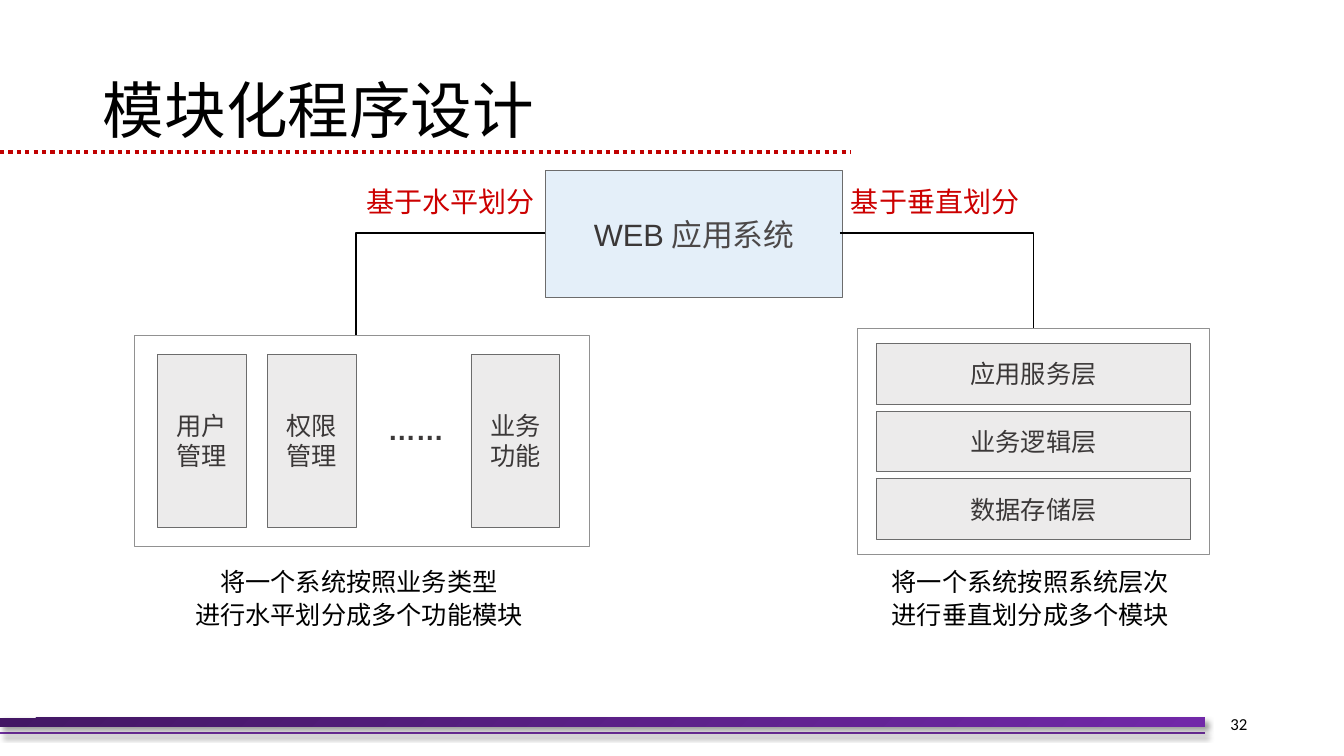
from lxml import etree
from pptx import Presentation
from pptx import util as u
from pptx.dml.color import RGBColor
from pptx.enum import dml, shapes, text
from pptx.oxml import parse_xml
from pptx.oxml.ns import nsdecls, qn

CJK = "Noto Sans CJK SC"
INK = "3B3838"
BLACK = "000000"
CENTER = text.PP_ALIGN.CENTER


def color(value):
    return RGBColor.from_string(value)


def style_span(span, size, ink, latin=CJK, east=CJK, bold=False):
    font = span.font
    font.size, font.name, font.bold = u.Pt(size), latin, bold
    font.color.rgb = color(ink)
    etree.SubElement(font._element, qn("a:ea")).set("typeface", east)


def write(shape, words, size, ink=INK, font=CJK, align=CENTER,
          anchor=text.MSO_ANCHOR.MIDDLE, spacing=None, inset=0):
    """Fill a shape with one paragraph and return it."""
    frame = shape.text_frame
    frame.word_wrap = True
    frame.vertical_anchor = anchor
    frame.margin_left = frame.margin_right = u.Inches(inset)
    frame.margin_top = frame.margin_bottom = 0
    para = frame.paragraphs[0]
    para.text = words
    para.alignment = align
    para.line_spacing = spacing
    for span in para.runs:
        style_span(span, size, ink, font, font)
    return para


def add_text(page, box, words, size, **options):
    shape = page.shapes.add_textbox(*map(u.Inches, box))
    return write(shape, words, size, **options)


def set_line(shape, ink, width):
    shape.line.color.rgb = color(ink)
    shape.line.width = u.Pt(width)


def add_box(page, box, fill=None, line="6C6C6C"):
    shape = page.shapes.add_shape(shapes.MSO_SHAPE.RECTANGLE, *map(u.Inches, box))
    shape.shadow.inherit = False
    if fill:
        shape.fill.solid()
        shape.fill.fore_color.rgb = color(fill)
    else:
        shape.fill.background()
    set_line(shape, line, 0.5)
    return shape


def add_rule(page, right, y, ink, width):
    """Draw a horizontal rule from the left edge of the slide."""
    rule = page.shapes.add_connector(
        shapes.MSO_CONNECTOR.STRAIGHT, 0, u.Inches(y), u.Inches(right), u.Inches(y))
    set_line(rule, ink, width)
    etree.SubElement(rule._element.spPr, qn("a:effectLst"))
    return rule


def cast_shadow(shape):
    properties = shape._element.spPr
    effects = properties.find(qn("a:effectLst"))
    effects.append(parse_xml(
        f'<a:outerShdw {nsdecls("a")} blurRad="50800" dist="38100" dir="2700000" '
        'algn="tl" rotWithShape="0"><a:srgbClr val="000000">'
        '<a:alpha val="40000"/></a:srgbClr></a:outerShdw>'))


def add_footer(page, box):
    left, top, width, height = box
    cast_shadow(add_rule(page, left + width, top + 0.15, "7030A0", 1.5))
    bar = add_box(page, box)
    bar.fill.gradient()
    bar.fill.gradient_angle = 315
    for stop, ink in zip(bar.fill.gradient_stops, ("431764", "7128A8")):
        stop.color.rgb = color(ink)
    bar.line.fill.background()
    cast_shadow(bar)
    add_text(page, (left + width - 0.57, top - 0.14, 1.09, 0.4), "32", 12,
             ink=BLACK, font="Calibri", align=text.PP_ALIGN.RIGHT, inset=0.1)


def add_title(page, box):
    title = page.shapes.title
    title.left, title.top, title.width, title.height = map(u.Inches, box)
    write(title, "模块化程序设计", 44, ink=BLACK, align=text.PP_ALIGN.LEFT,
          spacing=0.9, inset=0.1)
    rule = add_rule(page, 8.44, box[1] + 1.11, "C00000", 3)
    rule.line.dash_style = dml.MSO_LINE.ROUND_DOT


def add_system(page, box):
    shape = add_box(page, box, "E4EFF9")
    para = write(shape, "WEB", 22, font="Arial")
    span = para.add_run()
    span.text = "应用系统"
    style_span(span, 22, "4C4848")


def add_branch(page, start, end, label_left, label):
    """Draw an elbow from start across and down to end, with a label above it."""
    corner = (end[0], start[1])
    builder = page.shapes.build_freeform(*map(u.Inches, start), scale=1.0)
    builder.add_line_segments(
        [tuple(map(u.Inches, point)) for point in (corner, end)], close=False)
    elbow = builder.convert_to_shape()
    elbow.shadow.inherit = False
    elbow.fill.background()
    set_line(elbow, BLACK, 1.02)
    add_text(page, (label_left, start[1] - 0.49, 1.69, 0.36), label, 20, ink="CC0000")


def add_caption(page, box, words):
    add_text(page, box, words, 18, ink=BLACK, spacing=1.07,
             anchor=text.MSO_ANCHOR.TOP)


def add_modules(page, box):
    left, top, width, height = box
    add_box(page, box, line="919191")
    modules = ((0.23, "用户\v管理"), (1.32, "权限\v管理"), (3.34, "业务\v功能"))
    for offset, name in modules:
        module = add_box(page, (left + offset, top + 0.19, 0.88, height - 0.38), "ECEBEB")
        write(module, name, 18, spacing=u.Pt(21))
    add_text(page, (left + 2.51, top + 0.75, 0.57, 0.36), "……", 20,
             font="Arial").runs[0].font.bold = True
    add_caption(page, (left + 0.59, 5.6, 3.28, 0.67),
                "将一个系统按照业务类型\v进行水平划分成多个功能模块")


def add_layers(page, box):
    left, top, width, height = box
    add_box(page, box, line="919191")
    layers = ("应用服务层", "业务逻辑层", "数据存储层")
    margin, layer_height = 0.15, 0.6
    pitch = (height - 2 * margin - layer_height) / (len(layers) - 1)
    for row, name in enumerate(layers):
        layer = add_box(page, (left + 0.19, top + margin + row * pitch,
                               width - 0.38, layer_height), "ECEBEB")
        write(layer, name, 18)
    add_caption(page, (left + 0.33, 5.6, 2.78, 0.67),
                "将一个系统按照系统层次\v进行垂直划分成多个模块")


def main():
    deck = Presentation()
    deck.slide_width, deck.slide_height = u.Inches(13.33), u.Inches(7.5)
    page = deck.slides.add_slide(deck.slide_layouts[5])
    add_footer(page, (0, 7.12, 11.95, 0.09))
    add_title(page, (0.92, 0.4, 11.5, 1.45))
    add_system(page, (5.41, 1.69, 2.95, 1.26))
    add_modules(page, (1.33, 3.33, 4.52, 2.09))
    add_layers(page, (8.5, 3.26, 3.5, 2.24))
    add_branch(page, (5.41, 2.31), (3.53, 3.32), 3.62, "基于水平划分")
    add_branch(page, (8.33, 2.31), (10.25, 3.25), 8.43, "基于垂直划分")
    deck.save("out.pptx")


if __name__ == "__main__":
    main()
